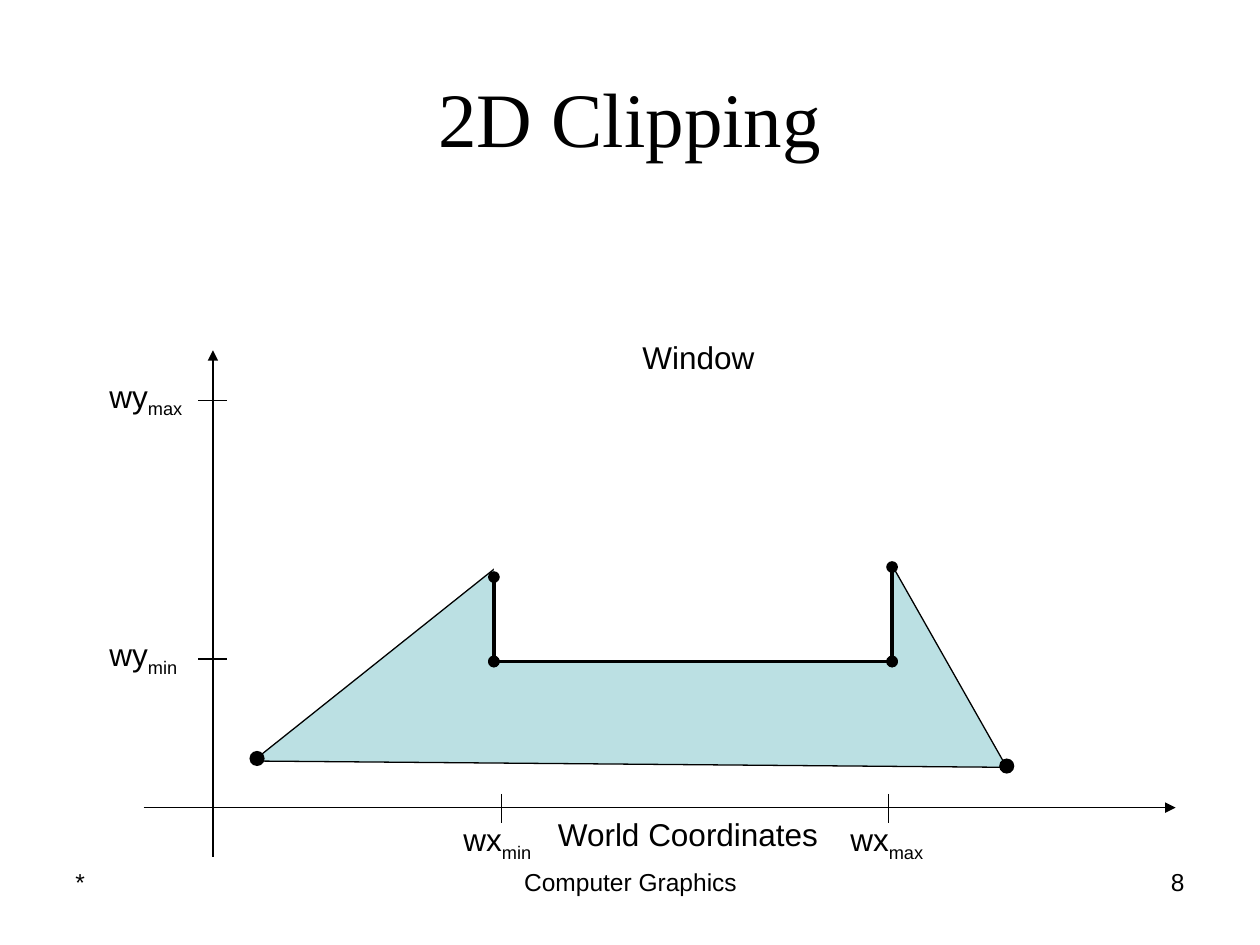
from typing import NamedTuple

from lxml import etree
from pptx import Presentation
from pptx import util as u
from pptx.dml.color import RGBColor
from pptx.enum import shapes, text
from pptx.oxml.ns import qn

PX = 9144  # EMU per px, 100 px to the inch
BLACK, WHITE, AQUA = "000000", "FFFFFF", "BBE0E3"
LEFT, MID, RIGHT = text.PP_ALIGN.LEFT, text.PP_ALIGN.CENTER, text.PP_ALIGN.RIGHT


class Box(NamedTuple):
    x: int
    y: int
    w: int
    h: int


class Label(NamedTuple):
    box: Box
    words: str
    sub: str = ""
    size: int = 18
    align: text.PP_ALIGN = LEFT
    wrap: bool = False


class Line(NamedTuple):
    x1: int
    y1: int
    x2: int
    y2: int
    width: float = 0.75
    head: str = ""
    tail: str = ""


def color(code: str) -> RGBColor:
    return RGBColor.from_string(code)


def emu(*px: int) -> list[u.Emu]:
    return [u.Emu(n * PX) for n in px]


def style(font, name: str, size: int) -> None:
    font.name, font.size = name, u.Pt(size)
    font.color.rgb = color(BLACK)


def paint(shape, fill: str, edge: str = "") -> None:
    shape.shadow.inherit = False
    shape.fill.solid()
    shape.fill.fore_color.rgb = color(fill)
    if edge:
        shape.line.color.rgb = color(edge)
        shape.line.width = u.Pt(0.75)
    else:
        shape.line.fill.background()


def draw_label(slide, item: Label) -> None:
    frame = slide.shapes.add_textbox(*emu(*item.box)).text_frame
    frame.word_wrap = item.wrap
    if not item.wrap:
        frame.auto_size = text.MSO_AUTO_SIZE.SHAPE_TO_FIT_TEXT
    para = frame.paragraphs[0]
    para.text, para.alignment = item.words, item.align
    if item.sub:
        run = para.add_run()
        run.text = item.sub
        run.font._element.set("baseline", "-25000")
    for run in para.runs:
        style(run.font, "Arial", item.size)


def draw_line(slide, item: Line) -> None:
    ends = emu(item.x1, item.y1, item.x2, item.y2)
    line = slide.shapes.add_connector(shapes.MSO_CONNECTOR.STRAIGHT, *ends)
    line.line.color.rgb = color(BLACK)
    line.line.width = u.Pt(item.width)
    stroke = line.line._get_or_add_ln()
    for tag, kind in (("a:headEnd", item.head), ("a:tailEnd", item.tail)):
        if kind:
            etree.SubElement(stroke, qn(tag), type=kind)
    etree.SubElement(line._element.spPr, qn("a:effectLst"))


def draw_shape(slide, kind: shapes.MSO_SHAPE, box: Box, fill: str) -> None:
    paint(slide.shapes.add_shape(kind, *emu(*box)), fill)


def draw_title(slide, box: Box, words: str) -> None:
    title = slide.shapes.title
    title.left, title.top, title.width, title.height = emu(*box)
    frame = title.text_frame
    frame.text = words
    frame.vertical_anchor = text.MSO_ANCHOR.MIDDLE
    frame.paragraphs[0].alignment = MID
    style(frame.paragraphs[0].runs[0].font, "Times New Roman", 44)


# Window limits in world coordinates
XMIN, XMAX, YMIN, YMAX = 398, 705, 523, 318
# Clipped-out area and its corners
CUT = Box(392, 317, 317, 208)
CUT_L, CUT_R, CUT_B = 392, 708, 525

POLYGON = [(201, 604), (447, 408), (494, 480), (529, 372),
           (588, 434), (647, 341), (799, 609)]
DOTS = [(198, 596), (793, 602)]

AXES = [
    Line(114, 641, 933, 641, tail="triangle"),
    Line(169, 680, 169, 278, tail="triangle"),
]
TICKS = [Line(180, y, 157, y) for y in (YMAX, YMIN)]
TICKS += [Line(x, 630, x, 653) for x in (XMIN, XMAX)]
EDGES = [
    Line(*ends, width=2.25, head="oval", tail="oval")
    for ends in (
        (CUT_L, 458, CUT_L, CUT_B),
        (CUT_R, 450, CUT_R, CUT_B),
        (CUT_L, CUT_B, CUT_R, CUT_B),
    )
]

FOOTERS = [
    Label(Box(50, 683, 233, 52), "*", size=14, wrap=True),
    Label(Box(342, 683, 317, 52), "Computer Graphics", size=14, align=MID, wrap=True),
    Label(Box(717, 683, 233, 52), "8", size=14, align=RIGHT, wrap=True),
]
NAMES = [
    Label(Box(77, YMAX - 24, 82, 40), "wy", "max"),
    Label(Box(77, YMIN - 24, 77, 40), "wy", "min"),
    Label(Box(XMIN - 40, 646, 77, 40), "wx", "min"),
    Label(Box(XMAX - 40, 646, 82, 40), "wx", "max"),
    Label(Box(500, 263, 109, 40), "Window"),
    Label(Box(433, 642, 227, 40), "World Coordinates"),
]


def main() -> None:
    deck = Presentation()
    deck.slide_width, deck.slide_height = emu(1000, 750)
    slide = deck.slides.add_slide(deck.slide_layouts[5])

    # Title and footer
    draw_title(slide, Box(50, 30, 900, 125), "2D Clipping")
    for item in FOOTERS:
        draw_label(slide, item)

    # Polygon to be clipped
    pen = slide.shapes.build_freeform(*POLYGON[0], scale=PX)
    pen.add_line_segments(POLYGON[1:], close=True)
    paint(pen.convert_to_shape(), AQUA, BLACK)

    # Axes, ticks and names
    for line in AXES + TICKS:
        draw_line(slide, line)
    for item in NAMES:
        draw_label(slide, item)

    # Outer corners
    for x, y in DOTS:
        draw_shape(slide, shapes.MSO_SHAPE.OVAL, Box(x, y, 12, 12), BLACK)

    # Window cut out of the polygon, with its new edges
    draw_shape(slide, shapes.MSO_SHAPE.RECTANGLE, CUT, WHITE)
    for line in EDGES:
        draw_line(slide, line)

    deck.save("out.pptx")


if __name__ == "__main__":
    main()
